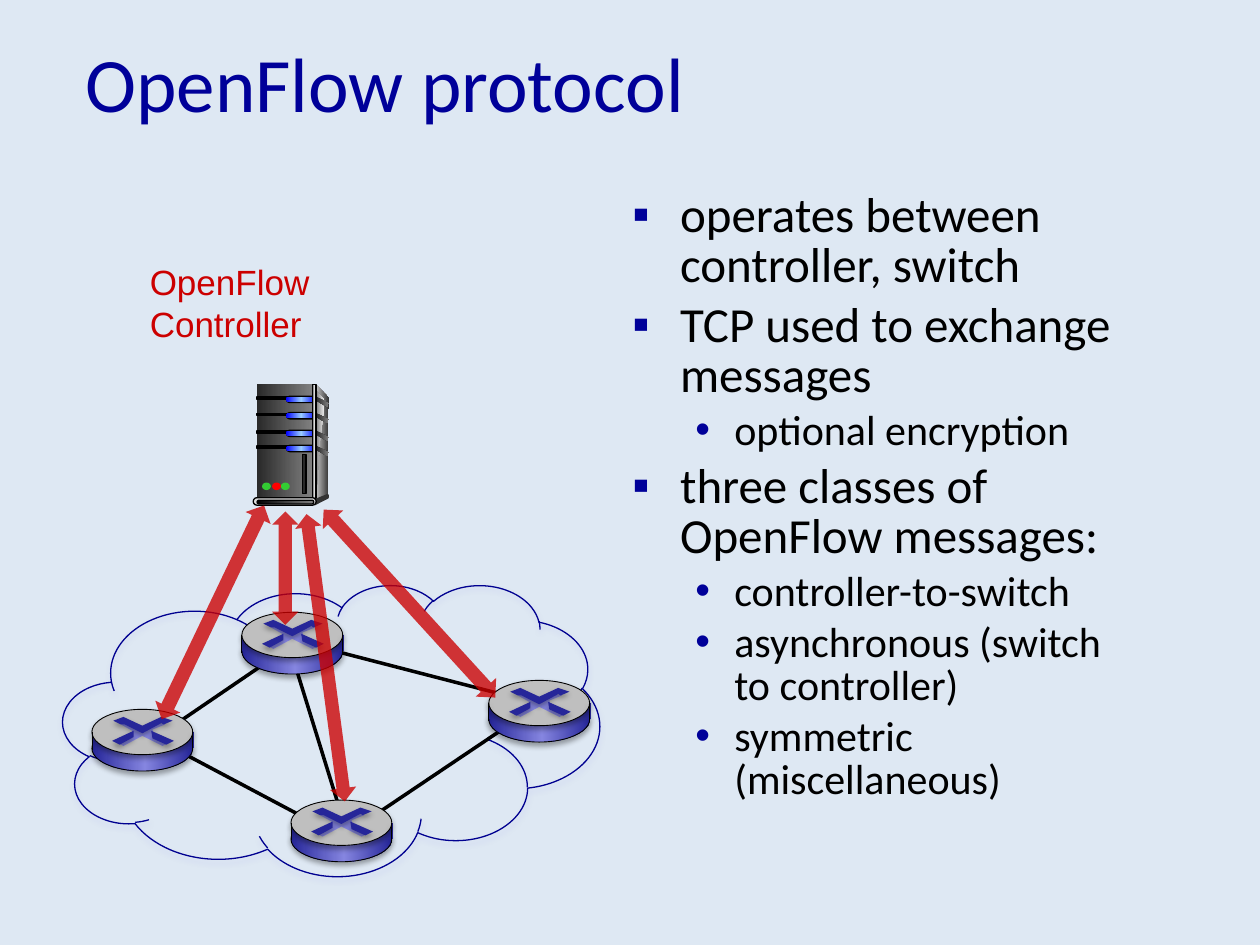
from pptx import Presentation
from pptx.util import Inches, Pt
from pptx.dml.color import RGBColor
from pptx.enum.shapes import MSO_SHAPE as Kind, MSO_CONNECTOR as Link
from pptx.enum.text import MSO_ANCHOR as Anchor
from pptx.oxml import parse_xml
from pptx.oxml.ns import qn, nsdecls

SKY = RGBColor(0xDE, 0xE8, 0xF3)
NAVY = RGBColor(0x00, 0x00, 0x99)
EDGE = RGBColor(0x00, 0x00, 0x90)
BLACK = RGBColor(0x00, 0x00, 0x00)
RED = RGBColor(0xCC, 0x00, 0x00)
LAMP = RGBColor(0xFF, 0x00, 0x00)
GREEN = RGBColor(0x33, 0xCC, 0x33)
COAL = RGBColor(0x29, 0x29, 0x29)
DARK = RGBColor(0x33, 0x33, 0x33)
GRAY = RGBColor(0x80, 0x80, 0x80)
PALE = RGBColor(0xDD, 0xDD, 0xDD)
WHITE = RGBColor(0xF8, 0xF8, 0xF8)
STEEL = RGBColor(0xBF, 0xBF, 0xBF)
BLUE = RGBColor(0x00, 0x00, 0xFF)
ICE = RGBColor(0x99, 0xCC, 0xFF)
INK = RGBColor(0x26, 0x26, 0x99)
LILAC = RGBColor(0x85, 0x85, 0xE0)
HAZE = RGBColor(0xA5, 0xA5, 0xE9)

# Gradients, as (percent, colour) stops from left to right
METAL = [(0, COAL), (100, GRAY)]
GLOW = [(0, BLUE), (50, ICE), (100, BLUE)]
DRUM = [(0, INK), (53, LILAC), (100, INK)]

TITLE = {"name": "Calibri", "size": Pt(44), "color": NAVY}
LABEL = {"name": "Arial", "size": Pt(20), "color": RED}
MAIN = {"name": "Calibri", "size": Pt(28), "color": BLACK}
SUB = {"name": "Calibri", "size": Pt(24), "color": BLACK}


def paint(item, fill=None, edge=None, width=0.75, shade=None):
    """Set fill (colour or gradient stops), line and shadow."""
    props = item._element.spPr
    if hasattr(item, "fill"):
        if isinstance(fill, list):
            item.fill.background()
            stops = "".join(
                f'<a:gs pos="{pos * 1000}"><a:srgbClr val="{hue}"/></a:gs>'
                for pos, hue in fill)
            props.replace(props.find(qn("a:noFill")), parse_xml(
                f'<a:gradFill {nsdecls("a")}><a:gsLst>{stops}</a:gsLst>'
                '<a:lin ang="0" scaled="1"/></a:gradFill>'))
        elif fill is None:
            item.fill.background()
        else:
            item.fill.solid()
            item.fill.fore_color.rgb = fill
    if edge is None:
        item.line.fill.background()
    else:
        item.line.color.rgb = edge
        item.line.width = Pt(width)
    glow = "" if shade is None else (
        f'<a:outerShdw blurRad="{Pt(3.1)}" dist="{Pt(1.8)}" dir="5400000" '
        f'rotWithShape="0"><a:srgbClr val="{shade}"><a:alpha val="35000"/>'
        '</a:srgbClr></a:outerShdw>')
    props.append(parse_xml(f'<a:effectLst {nsdecls("a")}>{glow}</a:effectLst>'))


def draw(kind, place, *look, **more):
    """Add a preset shape by box, a line by its ends, or an outline by points."""
    if kind == "line":
        item = shapes.add_connector(Link.STRAIGHT, *map(Inches, place))
    elif kind == "free":
        dots = [(Inches(x), Inches(y)) for x, y in place]
        pen = shapes.build_freeform(*dots[0], scale=1.0)
        pen.add_line_segments(dots[1:], close=True)
        item = pen.convert_to_shape()
    else:
        item = shapes.add_shape(kind, *map(Inches, place))
        if kind == Kind.ROUNDED_RECTANGLE:
            item.adjustments[0] = 0.5
    paint(item, *look, **more)
    return item


deck = Presentation()
deck.slide_width, deck.slide_height = Inches(10), Inches(7.5)
slide = deck.slides.add_slide(deck.slide_layouts[6])
slide.background.fill.solid()
slide.background.fill.fore_color.rgb = SKY
shapes = slide.shapes

# Text: each paragraph is its words and format
texts = [
    ((0.58, 0.02, 8.5, 1.25), Anchor.MIDDLE, [("OpenFlow protocol", TITLE)]),
    ((4.92, 1.48, 4.17, 5.08), Anchor.TOP, [
        ("operates between controller, switch", MAIN),
        ("TCP used to exchange messages", MAIN),
        ("optional encryption", SUB),
        ("three classes of OpenFlow messages:", MAIN),
        ("controller-to-switch", SUB),
        ("asynchronous (switch to controller)", SUB),
        ("symmetric (miscellaneous)", SUB)]),
    ((1.09, 2.02, 2.69, 0.75), Anchor.TOP, [("OpenFlow\vController", LABEL)]),
]
for place, anchor, lines in texts:
    frame = shapes.add_textbox(*map(Inches, place)).text_frame
    frame.word_wrap = True
    frame.vertical_anchor = anchor
    for num, (words, look) in enumerate(lines):
        para = frame.paragraphs[0] if num == 0 else frame.add_paragraph()
        para.text = words
        if look in (MAIN, SUB):
            left, hang, mark = (0.38, 0.38, "▪") if look is MAIN else (0.81, 0.31, "•")
            props = para._p.get_or_add_pPr()
            props.set("marL", str(int(Inches(left))))
            props.set("indent", str(-int(Inches(hang))))
            for tag in (f'buClr {nsdecls("a")}><a:srgbClr val="{NAVY}"/></a:buClr',
                        f'buFont {nsdecls("a")} typeface="Arial"/',
                        f'buChar {nsdecls("a")} char="{mark}"/'):
                props.append(parse_xml(f"<a:{tag}>"))
            para.line_spacing = 0.85
            para.space_before = Pt(0) if num == 0 else Pt(look["size"].pt * 0.2)
        for run in para.runs:
            for key, val in look.items():
                if key == "color":
                    run.font.color.rgb = val
                else:
                    setattr(run.font, key, val)

# Network cloud and its links
draw(Kind.CLOUD, (0.5, 4.64, 4.26, 2.31), None, EDGE, shade=HAZE)
for ends in [(1.23, 5.86, 2.55, 4.96), (1.23, 5.86, 2.55, 6.56),
             (2.33, 5.24, 2.68, 6.37), (2.63, 5.16, 4.06, 5.53),
             (2.84, 6.56, 4.06, 5.74)]:
    draw("line", ends, None, BLACK, 2)

# Server: side and front
draw("free", [(2.51, 3.05), (2.61, 3.16), (2.6, 3.93), (2.49, 3.97)],
     [(0, PALE), (100, DARK)])
draw(Kind.RECTANGLE, (2.04, 3.05, 0.44, 0.92), METAL)
draw("free", [(2.51, 3.1), (2.58, 3.18), (2.54, 3.5), (2.51, 3.94)],
     [(0, GRAY), (100, WHITE)])

# Server: drive slots with their side vents
for y in (3.15, 3.28, 3.42, 3.54):
    draw(Kind.RECTANGLE, (2.04, y, 0.25, 0.02), BLACK, BLACK)
    draw(Kind.ROUNDED_RECTANGLE, (2.27, y - 0.01, 0.24, 0.06), BLACK)
    draw(Kind.ROUNDED_RECTANGLE, (2.27, y, 0.24, 0.04), GLOW)
    draw("free", [(2.51, y), (2.61, y + 0.05), (2.6, y + 0.08), (2.51, y + 0.03)],
         METAL)

# Server: frame, foot, lamps and handle
draw(Kind.RECTANGLE, (2.48, 3.05, 0.03, 0.92),
     [(0, DARK), (50, PALE), (100, DARK)], BLACK)
draw(Kind.OVAL, (2.59, 3.92, 0.02, 0.04), DARK)
draw("free", [(2.5, 3.96), (2.5, 4.01), (2.6, 3.96), (2.6, 3.92)], DARK)
draw(Kind.ROUNDED_RECTANGLE, (2.01, 3.95, 0.5, 0.06), PALE, BLACK)
draw(Kind.ROUNDED_RECTANGLE, (2.04, 3.97, 0.45, 0.03),
     [(0, BLACK), (100, GRAY)], BLACK)
for x, hue in [(2.08, GREEN), (2.16, LAMP), (2.23, GREEN)]:
    draw(Kind.OVAL, (x, 3.83, 0.07, 0.06), hue)
draw(Kind.RECTANGLE, (2.4, 3.61, 0.03, 0.31), COAL, BLACK)

# Routers: the cross on top is set out from the router's corner
cross = [
    (LILAC, None, [(0.4, 0.21), (0.25, 0.29), (0.21, 0.27), (0.33, 0.22),
                   (0.32, 0.17), (0.23, 0.12), (0.26, 0.11), (0.4, 0.17),
                   (0.54, 0.11), (0.58, 0.12), (0.48, 0.16), (0.5, 0.23),
                   (0.6, 0.27), (0.56, 0.29)]),
    (INK, BLACK, [(0.17, 0.09), (0.25, 0.06), (0.4, 0.13), (0.55, 0.06),
                  (0.64, 0.09), (0.57, 0.12), (0.55, 0.11), (0.4, 0.19),
                  (0.26, 0.12), (0.23, 0.12)]),
    (INK, BLACK, [(0.47, 0.17), (0.65, 0.25), (0.59, 0.28), (0.48, 0.23)]),
    (INK, BLACK, [(0.33, 0.17), (0.33, 0.22), (0.22, 0.28), (0.16, 0.25)]),
]
for x, y in [(2.31, 6.35), (3.88, 5.4), (0.73, 5.63), (1.92, 4.86)]:
    draw(Kind.OVAL, (x, y + 0.13, 0.8, 0.36), DRUM, BLACK, 0.5, BLACK)
    draw(Kind.RECTANGLE, (x, y + 0.18, 0.81, 0.13), DRUM)
    draw(Kind.OVAL, (x, y, 0.8, 0.36), STEEL, BLACK, 0.5, BLACK)
    for hue, shade, dots in cross:
        draw("free", [(x + dx, y + dy) for dx, dy in dots], hue, shade=shade)
    for side in (x, x + 0.8):
        draw("line", (side, y + 0.32, side, y + 0.18), None, BLACK, 0.5, BLACK)

# Control arrows, partly clear
for place, turn in [((2.48, 4.07, 0.21, 2.3), 352.4), ((2.16, 4.06, 0.21, 0.9), 0),
                    ((3.14, 3.78, 0.22, 2.02), 317.6), ((1.58, 3.92, 0.22, 1.88), 25.6)]:
    arrow = draw(Kind.UP_DOWN_ARROW, place, RED)
    arrow.rotation = turn
    tint = arrow._element.spPr.find(qn("a:solidFill"))[0]
    tint.append(parse_xml(f'<a:alpha {nsdecls("a")} val="78000"/>'))

deck.save("out.pptx")
